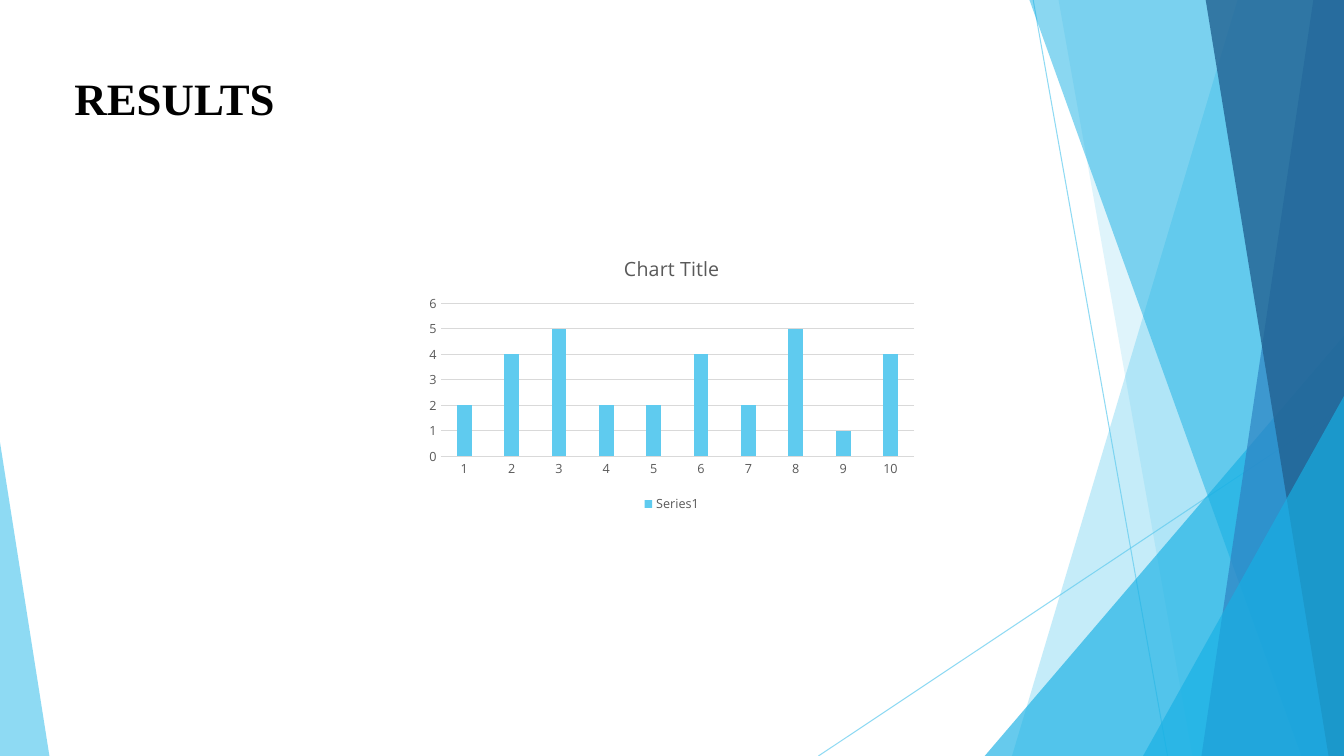
from dataclasses import dataclass

from pptx import Presentation
from pptx.chart.data import CategoryChartData
from pptx.dml.color import RGBColor
from pptx.enum.chart import XL_CHART_TYPE, XL_LEGEND_POSITION, XL_TICK_MARK
from pptx.enum.shapes import MSO_CONNECTOR, MSO_SHAPE
from pptx.enum.text import MSO_ANCHOR, MSO_AUTO_SIZE, PP_ALIGN
from pptx.oxml.ns import qn
from pptx.util import Pt
from lxml.etree import SubElement

WIDTH, HEIGHT = 960, 540


@dataclass(frozen=True)
class Theme:
    sky: str = "5FCBEF"
    cyan: str = "17B0E4"
    blue: str = "2E83C3"
    navy: str = "226292"
    black: str = "000000"
    gray: str = "595959"
    grid: str = "D9D9D9"
    title_font: str = "Times New Roman"
    chart_font: str = "Open Sans"
    title_size: float = 32
    chart_title_size: float = 14
    label_size: float = 9
    hairline: float = 0.75


def rgb(code):
    return RGBColor.from_string(code)


def set_alpha(shape, percent):
    for color in shape.element.spPr.iter(qn("a:srgbClr")):
        SubElement(color, qn("a:alpha")).set("val", str(percent * 1000))


class SlideBuilder:
    def __init__(self, prs, theme):
        self.theme = theme
        self.s = prs.slides.add_slide(prs.slide_layouts[5])

    def font(self, font, name, size, color, bold=False):
        font.name, font.size, font.bold = name, Pt(size), bold
        font.color.rgb = rgb(color)

    def label_font(self, font, size=None):
        self.font(font, self.theme.chart_font, size or self.theme.label_size, self.theme.gray)

    def hairline(self, line, color):
        line.color.rgb = rgb(color)
        line.width = Pt(self.theme.hairline)

    def title(self, text, x, y, w, h):
        sp = self.s.shapes.title
        sp.left, sp.top, sp.width, sp.height = Pt(x), Pt(y), Pt(w), Pt(h)
        tf = sp.text_frame
        tf.word_wrap = True
        tf.auto_size = MSO_AUTO_SIZE.SHAPE_TO_FIT_TEXT
        tf.vertical_anchor = MSO_ANCHOR.TOP
        p = tf.paragraphs[0]
        p.alignment = PP_ALIGN.LEFT
        r = p.add_run()
        r.text = text
        self.font(r.font, self.theme.title_font, self.theme.title_size, self.theme.black, True)

    def line(self, x1, y1, x2, y2, color, alpha):
        cx = self.s.shapes.add_connector(MSO_CONNECTOR.STRAIGHT, Pt(x1), Pt(y1), Pt(x2), Pt(y2))
        self.hairline(cx.line, color)
        set_alpha(cx, alpha)
        SubElement(cx.element.spPr, qn("a:effectLst"))

    def paint(self, sp, color, alpha):
        sp.shadow.inherit = False
        sp.fill.solid()
        sp.fill.fore_color.rgb = rgb(color)
        sp.line.fill.background()
        set_alpha(sp, alpha)

    def facet(self, top_x, bottom_x, color, alpha):
        """Full-height panel with a slanted left edge, flush with the slide's right side."""
        top = Pt(-0.7)
        fb = self.s.shapes.build_freeform(Pt(top_x), top)
        fb.add_line_segments(
            [(Pt(WIDTH), top), (Pt(WIDTH), Pt(HEIGHT)), (Pt(bottom_x), Pt(HEIGHT))], close=True)
        self.paint(fb.convert_to_shape(), color, alpha)

    def triangle(self, x, y, w, apex, color, alpha):
        """Triangle standing on the slide's bottom edge; apex runs from 0 (left) to 1 (right)."""
        sp = self.s.shapes.add_shape(
            MSO_SHAPE.ISOSCELES_TRIANGLE, Pt(x), Pt(y), Pt(w), Pt(HEIGHT - y))
        sp.adjustments[0] = apex
        self.paint(sp, color, alpha)

    def column_chart(self, title, name, values, x, y, w, h):
        t = self.theme
        data = CategoryChartData()
        data.categories = [str(i) for i in range(1, len(values) + 1)]
        data.add_series(name, values)
        chart = self.s.shapes.add_chart(
            XL_CHART_TYPE.COLUMN_CLUSTERED, Pt(x), Pt(y), Pt(w), Pt(h), data).chart
        self.label_font(chart.font)

        chart.has_title = True
        chart.chart_title.include_in_layout = False
        r = chart.chart_title.text_frame.paragraphs[0].add_run()
        r.text = title
        self.label_font(r.font, t.chart_title_size)

        chart.has_legend = True
        chart.legend.position = XL_LEGEND_POSITION.BOTTOM
        chart.legend.include_in_layout = False
        self.label_font(chart.legend.font)

        for axis in (chart.category_axis, chart.value_axis):
            axis.major_tick_mark = axis.minor_tick_mark = XL_TICK_MARK.NONE
            self.label_font(axis.tick_labels.font)
        self.hairline(chart.category_axis.format.line, t.grid)
        chart.value_axis.format.line.fill.background()
        self.hairline(chart.value_axis.major_gridlines.format.line, t.grid)

        plot = chart.plots[0]
        plot.vary_by_categories = False
        plot.gap_width, plot.overlap = 219, -27
        fill = plot.series[0].format.fill
        fill.solid()
        fill.fore_color.rgb = rgb(t.sky)


def main():
    prs = Presentation()
    prs.slide_width, prs.slide_height = Pt(WIDTH), Pt(HEIGHT)
    t = Theme()
    b = SlideBuilder(prs, t)

    b.line(738, 0, 834, HEIGHT, t.sky, 70)
    b.line(WIDTH, 290, 584.6, HEIGHT, t.sky, 70)
    b.facet(884.2, 722.9, t.sky, 36)
    b.facet(756, 851.8, t.sky, 20)
    b.triangle(703.4, 239.8, 256.6, 1, t.cyan, 66)
    b.facet(735.1, 929.5, t.cyan, 50)
    b.facet(938.2, 858.2, t.blue, 70)
    b.facet(861.1, 949, t.navy, 80)
    b.triangle(816.5, 283, 143.5, 1, t.cyan, 66)
    b.triangle(0, 316, 35.3, 0, t.sky, 70)

    b.title("RESULTS", 46, 46.8, 546.5, 46)
    b.column_chart("Chart Title", "Series1", (2, 4, 5, 2, 2, 4, 2, 5, 1, 4),
                   299.5, 170.6, 360.7, 198.7)
    prs.save("out.pptx")


if __name__ == "__main__":
    main()
